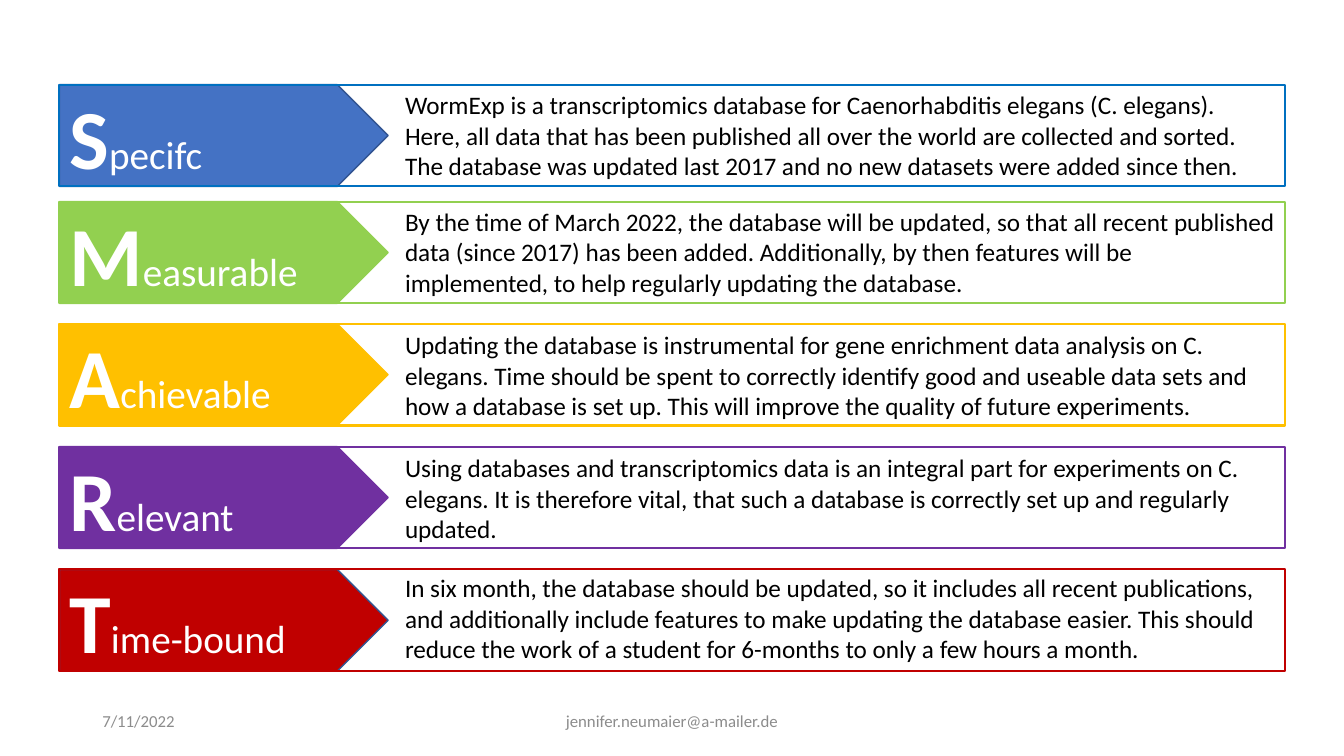
"""Build a slide that explains the SMART goals of a database project."""
from collections import namedtuple

from pptx import Presentation
from pptx.dml.color import RGBColor
from pptx.enum import shapes, text
from pptx.util import Pt

COLORS = {
    "blue": "4472C4", "navy": "325491", "sky": "0070C0", "green": "92D050",
    "yellow": "FFC000", "purple": "7030A0", "red": "C00000",
    "white": "FFFFFF", "black": "000000", "gray": "8C8C8C",
}
FONT = "Calibri"
LEFT, ROW_WIDTH, ROW_HEIGHT = 42.5, 875.5, 72.75
ARROW_WIDTH = 234.75
TEXT_LEFT, TEXT_WIDTH = 282.25, 635.75
FOOTER_TOP, FOOTER_HEIGHT = 500.5, 28.75

Goal = namedtuple("Goal", "word top text_top fill edge frame description")
GOALS = [
    Goal("Specifc", 60.5, 60.5, "blue", "navy", "sky",
         "WormExp is a transcriptomics database for Caenorhabditis elegans "
         "(C. elegans). Here, all data that has been published all over the "
         "world are collected and sorted. The database was updated last 2017 "
         "and no new datasets were added since then."),
    Goal("Measurable", 144, 144, "green", "green", "green",
         "By the time of March 2022, the database will be updated, so that "
         "all recent published data (since 2017) has been added. "
         "Additionally, by then features will be implemented, to help "
         "regularly updating the database."),
    Goal("Achievable", 231.25, 232, "yellow", "yellow", "yellow",
         "Updating the database is instrumental for gene enrichment data "
         "analysis on C. elegans. Time should be spent to correctly identify "
         "good and useable data sets and how a database is set up. This will "
         "improve the quality of future experiments."),
    Goal("Relevant", 319, 319.75, "purple", "purple", "purple",
         "Using databases and transcriptomics data is an integral part for "
         "experiments on C. elegans. It is therefore vital, that such a "
         "database is correctly set up and regularly updated."),
    Goal("Time-bound", 406.75, 405.5, "red", "navy", "red",
         "In six month, the database should be updated, so it includes all "
         "recent publications, and additionally include features to make "
         "updating the database easier. This should reduce the work of a "
         "student for 6-months to only a few hours a month."),
]


def rgb(name):
    return RGBColor.from_string(COLORS[name])


def style_font(font, size, color, bold=False):
    font.name = FONT
    font.size = Pt(size)
    font.bold = bold
    font.color.rgb = rgb(color)


def add_box(slide, kind, top, width, line_color, line_width, fill=None):
    shape = slide.shapes.add_shape(
        kind, Pt(LEFT), Pt(top), Pt(width), Pt(ROW_HEIGHT))
    shape.shadow.inherit = False
    shape.line.color.rgb = rgb(line_color)
    shape.line.width = Pt(line_width)
    if fill:
        shape.fill.solid()
        shape.fill.fore_color.rgb = rgb(fill)
    else:
        shape.fill.background()
    return shape


def add_arrow(slide, goal):
    shape = add_box(slide, shapes.MSO_SHAPE.PENTAGON, goal.top, ARROW_WIDTH,
                    goal.edge, 1, goal.fill)
    shape.text_frame.vertical_anchor = text.MSO_ANCHOR.MIDDLE
    paragraph = shape.text_frame.paragraphs[0]
    paragraph.alignment = text.PP_ALIGN.JUSTIFY
    for part, size, bold in ((goal.word[0], 60, True),
                             (goal.word[1:], 28, False)):
        run = paragraph.add_run()
        run.text = part
        style_font(run.font, size, "white", bold)


def add_text(slide, content, left, top, width, height, size, color,
             alignment=text.PP_ALIGN.LEFT, anchor=text.MSO_ANCHOR.TOP):
    box = slide.shapes.add_textbox(Pt(left), Pt(top), Pt(width), Pt(height))
    frame = box.text_frame
    frame.word_wrap = True
    frame.vertical_anchor = anchor
    paragraph = frame.paragraphs[0]
    paragraph.text = content
    paragraph.alignment = alignment
    style_font(paragraph.font, size, color)


def add_footer(slide, content, left, width, alignment):
    add_text(slide, content, left, FOOTER_TOP, width, FOOTER_HEIGHT, 12,
             "gray", alignment, text.MSO_ANCHOR.MIDDLE)


def main():
    presentation = Presentation()
    presentation.slide_width = Pt(960)
    presentation.slide_height = Pt(540)
    slide = presentation.slides.add_slide(presentation.slide_layouts[6])
    for goal in GOALS:
        add_arrow(slide, goal)
        add_box(slide, shapes.MSO_SHAPE.RECTANGLE, goal.top, ROW_WIDTH,
                goal.frame, 1.5)
        add_text(slide, goal.description, TEXT_LEFT, goal.text_top,
                 TEXT_WIDTH, ROW_HEIGHT, 18, "black")
    add_footer(slide, "7/11/2022", 66, 216, text.PP_ALIGN.LEFT)
    add_footer(slide, "jennifer.neumaier@a-mailer.de", 318, 324,
               text.PP_ALIGN.CENTER)
    presentation.save("out.pptx")


if __name__ == "__main__":
    main()
